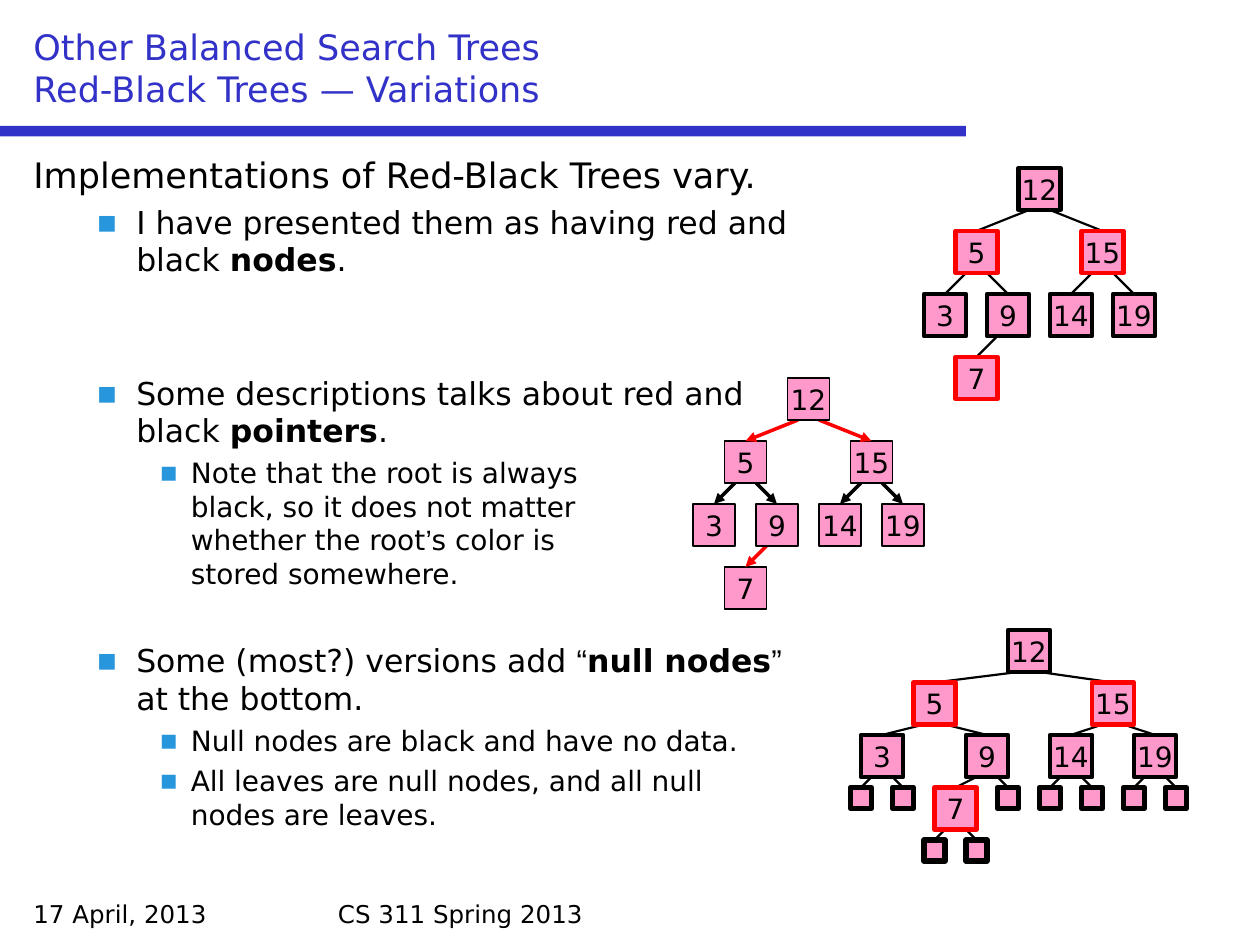
"""Build a slide on variations of Red-Black Trees, with three tree diagrams."""
from dataclasses import dataclass
from typing import NamedTuple, Optional

from lxml.etree import SubElement
from pptx import Presentation
from pptx.dml.color import RGBColor
from pptx.enum.shapes import MSO_CONNECTOR, MSO_SHAPE
from pptx.enum.text import MSO_ANCHOR, PP_ALIGN
from pptx.oxml.ns import qn
from pptx.util import Emu, Pt

PX = 7620
MAIN_FONT = "DejaVu Sans"
QUOTE_FONT = "Arial"
BLUE = RGBColor(0x32, 0x32, 0xC8)
BULLET_BLUE = RGBColor(0x28, 0x96, 0xDC)
PINK = RGBColor(0xFF, 0x99, 0xCC)
RED = RGBColor(0xFF, 0x00, 0x00)
BLACK = RGBColor(0x00, 0x00, 0x00)
NODE_SIZE = 40
NULL_SIZE = 20
EDGE_OFFSET = 10


class Span(NamedTuple):
    text: str
    bold: bool = False
    font: str = MAIN_FONT


class Level(NamedTuple):
    size: int
    margin: int
    hanging: int
    before: float
    bullet: bool = True


class Item(NamedTuple):
    level: int
    spans: list[Span]
    gap: float = 0


@dataclass
class Node:
    label: str
    color: RGBColor = BLACK
    left: Optional["Node"] = None
    right: Optional["Node"] = None


@dataclass
class Tree:
    x: int
    y: int
    row_step: int
    spreads: dict[str, tuple[int, int]]
    red_pointers: bool = False
    null_nodes: bool = False


LEVELS = [
    Level(20, 45, 45, 0, bullet=False),
    Level(18, 98, 38, 4.2),
    Level(16, 150, 30, 3.7),
]
ITEMS = [
    Item(0, [Span("Implementations of Red-Black Trees vary.")]),
    Item(1, [Span("I have presented them as having red and\nblack "),
             Span("nodes", bold=True), Span(".")]),
    Item(1, [Span("Some descriptions talks about red and\nblack "),
             Span("pointers", bold=True), Span(".")], gap=50.3),
    Item(2, [Span("Note that the root is always\nblack, so it does not matter\nwhether the root"),
             Span("’", font=QUOTE_FONT), Span("s color is\nstored somewhere.")]),
    Item(1, [Span("Some (most?) versions add "), Span("“", font=QUOTE_FONT),
             Span("null nodes", bold=True), Span("”\n", font=QUOTE_FONT),
             Span("at the bottom.")], gap=25.1),
    Item(2, [Span("Null nodes are black and have no data.")]),
    Item(2, [Span("All leaves are null nodes, and all null\nnodes are leaves.")]),
]
ROOT = Node(
    "12",
    left=Node("5", RED, Node("3"), Node("9", left=Node("7", RED))),
    right=Node("15", RED, Node("14"), Node("19")),
)
NULL_NODE = Node("")
EVEN_SPREADS = {"12": (60, 60), "5": (30, 30), "15": (30, 30), "9": (30, 30)}
WIDE_SPREADS = {"12": (90, 80), "5": (50, 50), "15": (40, 40), "9": (30, 20)}
TREES = [
    Tree(990, 160, 60, EVEN_SPREADS),
    Tree(770, 360, 60, EVEN_SPREADS, red_pointers=True),
    Tree(980, 600, 50, WIDE_SPREADS, null_nodes=True),
]


def px(length: int) -> Emu:
    """Turn px into EMU."""
    return Emu(length * PX)


def add_span(para, span: Span, size: int, color: RGBColor) -> None:
    """Add the runs of a span, with a line break at each newline."""
    for index, line in enumerate(span.text.split("\n")):
        if index:
            para.add_line_break()
        if line:
            run = para.add_run()
            run.text = line
            run.font.name = span.font
            run.font.size = Pt(size)
            run.font.bold = span.bold
            run.font.color.rgb = color


def add_box(page, left: int, top: int, width: int, height: int):
    """Add a wrapping text box and return its text frame."""
    box = page.shapes.add_textbox(px(left), px(top), px(width), px(height))
    box.text_frame.word_wrap = True
    return box.text_frame


def format_item(para, item: Item) -> None:
    """Set the indent, bullet and spacing of an outline paragraph."""
    level = LEVELS[item.level]
    para.level = item.level
    properties = para._p.get_or_add_pPr()
    properties.set("marL", str(px(level.margin)))
    properties.set("indent", str(px(-level.hanging)))
    if level.bullet:
        color = SubElement(properties, qn("a:buClr"))
        SubElement(color, qn("a:srgbClr"), val=str(BULLET_BLUE))
        SubElement(properties, qn("a:buFont"), typeface=MAIN_FONT)
        SubElement(properties, qn("a:buChar"), char="▪")
        para.space_before = Pt(level.before + item.gap)


def add_outline(page) -> None:
    """Add the bulleted body text."""
    frame = add_box(page, 20, 140, 1160, 700)
    for index, item in enumerate(ITEMS):
        para = frame.add_paragraph() if index else frame.paragraphs[0]
        format_item(para, item)
        for span in item.spans:
            add_span(para, span, LEVELS[item.level].size, BLACK)


def add_rectangle(page, left: int, top: int, width: int, height: int, fill: RGBColor):
    """Add a plain filled rectangle."""
    shape = page.shapes.add_shape(
        MSO_SHAPE.RECTANGLE, px(left), px(top), px(width), px(height))
    shape.shadow.inherit = False
    shape.fill.solid()
    shape.fill.fore_color.rgb = fill
    shape.line.fill.background()
    return shape


def add_node(page, tree: Tree, node: Node, x: int, y: int):
    """Add the square of one node, centred on x."""
    size = NODE_SIZE if node.label else NULL_SIZE
    square = add_rectangle(page, x - size // 2, y, size, size, PINK)
    square.line.color.rgb = BLACK if tree.red_pointers else node.color
    square.line.width = Pt(1 if tree.red_pointers else 2.5 if node.label else 3)
    if node.label:
        frame = square.text_frame
        frame.word_wrap = False
        frame.vertical_anchor = MSO_ANCHOR.MIDDLE
        frame.paragraphs[0].alignment = PP_ALIGN.CENTER
        add_span(frame.paragraphs[0], Span(node.label), 16, BLACK)
    return square


def add_edge(page, tree: Tree, start_x: int, start_y: int, child: Node, square) -> None:
    """Join a parent's bottom side to the top of its child's square."""
    edge = page.shapes.add_connector(
        MSO_CONNECTOR.STRAIGHT, px(start_x), px(start_y), px(start_x), px(start_y))
    edge.end_connect(square, 0)
    edge.line.color.rgb = child.color if tree.red_pointers else BLACK
    edge.line.width = Pt(2 if tree.red_pointers else 1.25)
    if tree.red_pointers:
        SubElement(edge.line._get_or_add_ln(), qn("a:tailEnd"), type="triangle")
    else:
        square.element.addprevious(edge.element)
    SubElement(edge.element.spPr, qn("a:effectLst"))


def draw_tree(page, tree: Tree, node: Node, x: int, y: int):
    """Draw a node above its subtrees and return its square."""
    left_spread, right_spread = tree.spreads.get(node.label, (NULL_SIZE, NULL_SIZE))
    for child, side, spread in ((node.left, -1, left_spread), (node.right, 1, right_spread)):
        if child is None and tree.null_nodes and node.label:
            child = NULL_NODE
        if child is not None:
            square = draw_tree(page, tree, child, x + side * spread, y + tree.row_step)
            add_edge(page, tree, x + side * EDGE_OFFSET, y + NODE_SIZE, child, square)
    return add_node(page, tree, node, x, y)


def main() -> None:
    """Build and save the deck."""
    deck = Presentation()
    deck.slide_width, deck.slide_height = px(1200), px(900)
    page = deck.slides.add_slide(deck.slide_layouts[6])
    add_rectangle(page, 0, 120, 920, 10, BLUE)
    for text, left, width in (("17 April, 2013", 20, 280), ("CS 311 Spring 2013", 310, 580)):
        add_span(add_box(page, left, 850, width, 40).paragraphs[0], Span(text), 14, BLACK)
    title = add_box(page, 20, 20, 1160, 90)
    title.vertical_anchor = MSO_ANCHOR.BOTTOM
    heading = Span("Other Balanced Search Trees\nRed-Black Trees — Variations")
    add_span(title.paragraphs[0], heading, 20, BLUE)
    add_outline(page)
    for tree in TREES:
        draw_tree(page, tree, ROOT, tree.x, tree.y)
    deck.save("out.pptx")


if __name__ == "__main__":
    main()
